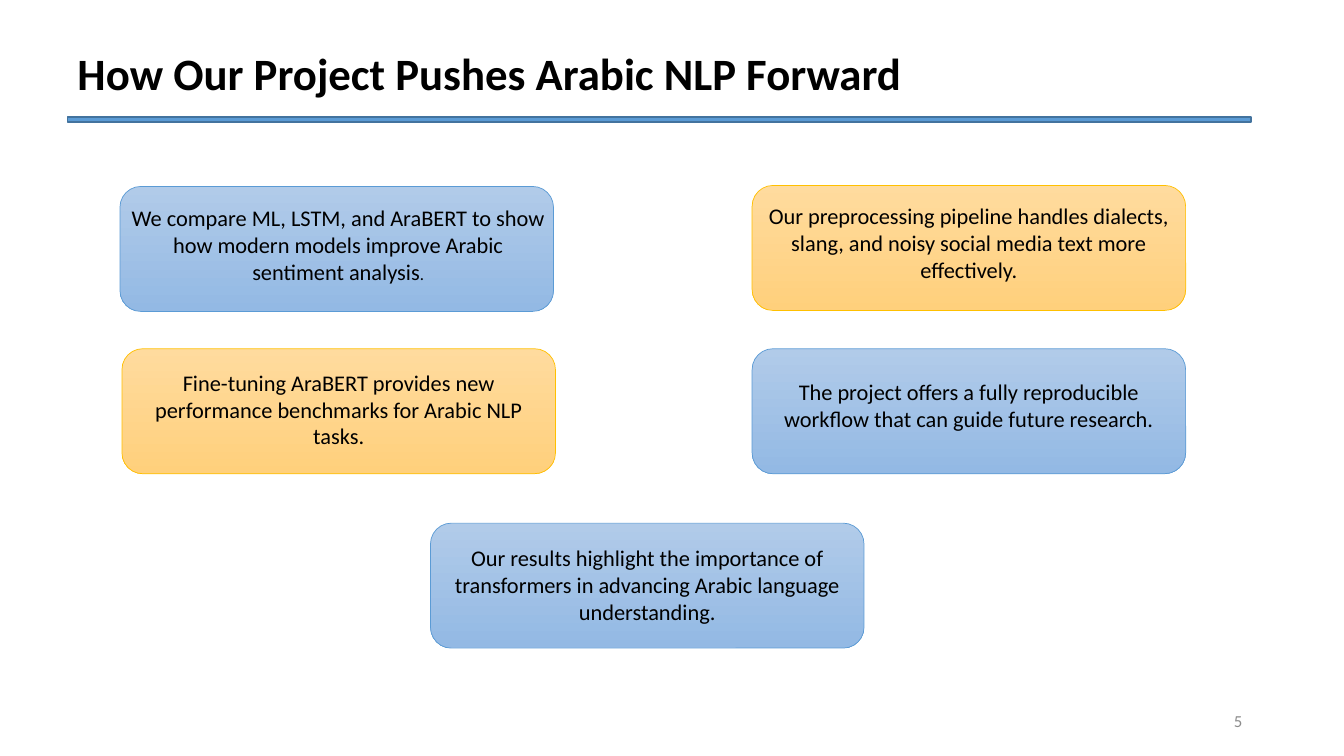
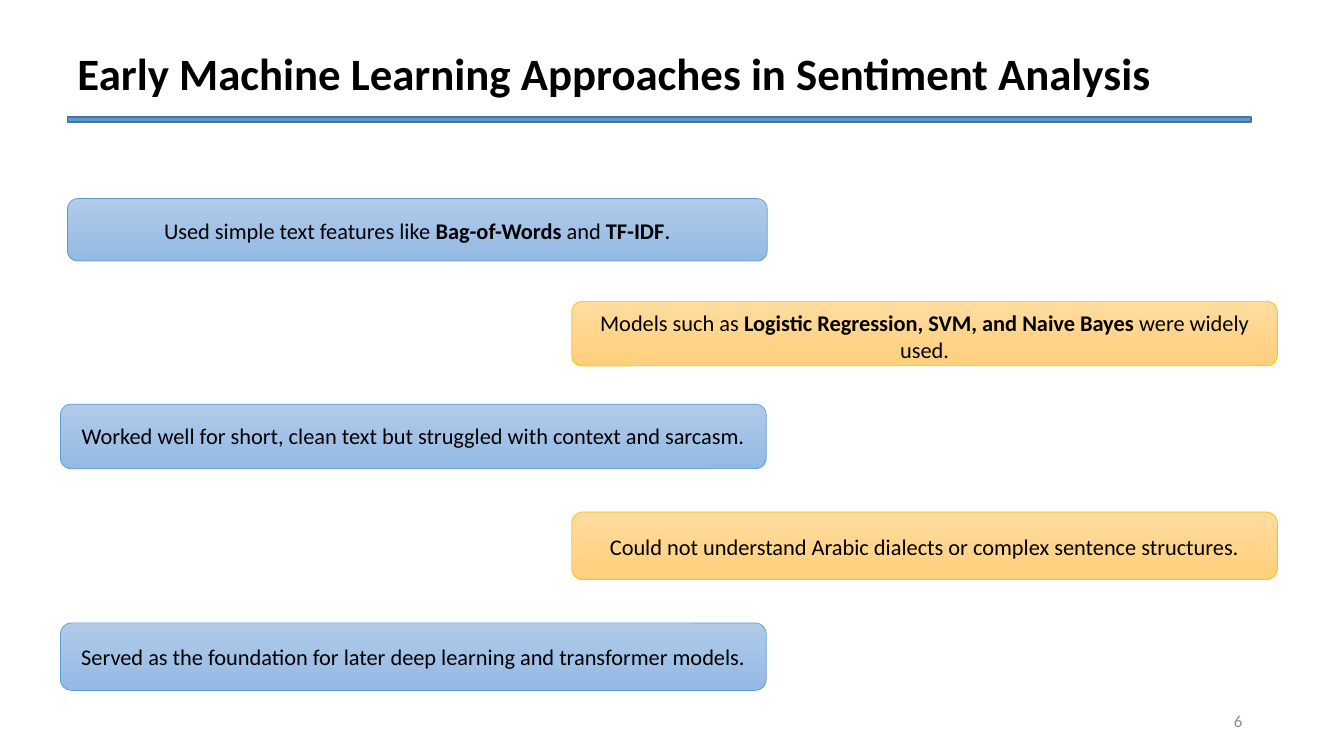
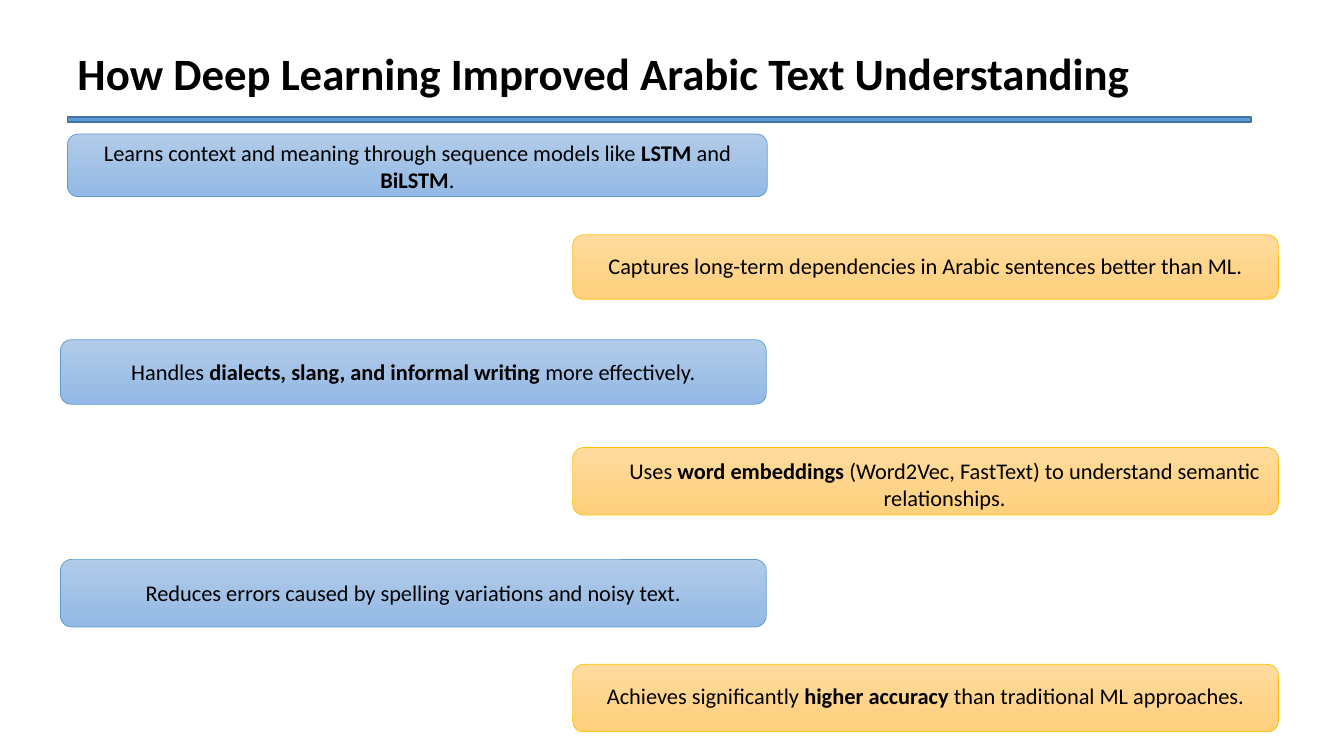
from pptx import Presentation
from pptx import util as u
from pptx.dml.color import RGBColor
from pptx.enum import shapes, text

SCALE = 9144
COLORS = {
    "ink": "000000", "page": "8C8C8C", "rule": "5B9BD5", "rule_edge": "43739E",
    "blue_top": "B1CBE9", "blue_bottom": "93B9E4", "blue_edge": "5B9BD5",
    "amber_top": "FFDB9E", "amber_bottom": "FFD07C", "amber_edge": "FFC000",
}
CORNER_INSET = 0.0488
ZIGZAG_HEIGHTS = (62, 64, 64, 67, 67, 67)


def px(n):
    return u.Emu(round(n * SCALE))


def rgb(name):
    return RGBColor.from_string(COLORS[name])


class Deck:
    """Holds the shared style and the current slide."""

    def __init__(self):
        self.prs = Presentation()
        self.prs.slide_width, self.prs.slide_height = px(1333), px(750)

    def slide(self, title, number=None):
        self.s = self.prs.slides.add_slide(self.prs.slide_layouts[6])
        self.label(67, 40, 1098, 64, title, 32, bold=True)
        self.rule()
        if number:
            self.label(942, 695, 300, 40, number, 12, color="page",
                       align=text.PP_ALIGN.RIGHT, anchor=text.MSO_ANCHOR.MIDDLE)

    def style(self, p, size, color="ink", align=text.PP_ALIGN.LEFT, bold=False):
        p.alignment = align
        p.font.name, p.font.size, p.font.bold = "Calibri", u.Pt(size), bold
        p.font.color.rgb = rgb(color)

    def label(self, x, y, w, h, words, size, color="ink", bold=False,
              align=text.PP_ALIGN.LEFT, anchor=text.MSO_ANCHOR.TOP):
        tf = self.s.shapes.add_textbox(px(x), px(y), px(w), px(h)).text_frame
        tf.word_wrap, tf.vertical_anchor = True, anchor
        p = tf.paragraphs[0]
        p.add_run().text = words
        self.style(p, size, color, align, bold)

    def shape(self, kind, x, y, w, h, edge, weight):
        sp = self.s.shapes.add_shape(kind, px(x), px(y), px(w), px(h))
        sp.shadow.inherit = False
        sp.line.color.rgb, sp.line.width = rgb(edge), u.Pt(weight)
        return sp

    def rule(self):
        sp = self.shape(shapes.MSO_SHAPE.RECTANGLE, 67, 116, 1174, 5, "rule_edge", 1)
        sp.fill.solid()
        sp.fill.fore_color.rgb = rgb("rule")

    def card(self, tone, x, y, w, h, text_top, words, sides=(10, 10), stop_size=None):
        sp = self.shape(shapes.MSO_SHAPE.ROUNDED_RECTANGLE, x, y, w, h, tone + "_edge", 0.5)
        sp.fill.gradient()
        sp.fill.gradient_angle = 270
        for stop, end in zip(sp.fill.gradient_stops, ("_top", "_bottom")):
            stop.color.rgb = rgb(tone + end)
        tf = sp.text_frame
        tf.word_wrap, tf.vertical_anchor = True, text.MSO_ANCHOR.TOP
        corner = h * CORNER_INSET
        tf.margin_left, tf.margin_right = (px(side - corner) for side in sides)
        tf.margin_top, tf.margin_bottom = px(text_top + 5 - corner), px(-corner)
        p = tf.paragraphs[0]
        self.style(p, 16, align=text.PP_ALIGN.CENTER)
        for i, part in enumerate(words.split("**")):
            r = p.add_run()
            r.text = part
            if i % 2:
                r.font.bold = True
        if stop_size:
            r = p.add_run()
            r.text, r.font.size = ".", u.Pt(stop_size)

    def zigzag(self, right, rows):
        for i, (h, (y, text_top, words, extra)) in enumerate(zip(ZIGZAG_HEIGHTS, rows)):
            tone, x = ("amber", right) if i % 2 else ("blue", 60 if i else 67)
            self.card(tone, x, y, 700 if i else 694, h, text_top, words, **extra)


def main():
    d = Deck()
    d.slide("How Our Project Pushes Arabic NLP Forward", "5")
    for tone, x, y, text_top, words, extra in (
        ("blue", 119, 185, 13, "We compare ML, LSTM, and AraBERT to show how modern models "
         "improve Arabic sentiment analysis", {"sides": (10, 7), "stop_size": 12}),
        ("amber", 746, 184, 12, "Our preprocessing pipeline handles dialects, slang, and noisy "
         "social media text more effectively.", {}),
        ("amber", 121, 346, 15, "Fine-tuning AraBERT provides new performance benchmarks for "
         "Arabic NLP tasks.", {}),
        ("blue", 746, 346, 24, "The project offers a fully reproducible workflow that can guide "
         "future research.", {}),
        ("blue", 427, 519, 16, "Our results highlight the importance of transformers in "
         "advancing Arabic language understanding.", {}),
    ):
        d.card(tone, x, y, 430, 124, text_top, words, **extra)

    d.slide("Early Machine Learning Approaches in Sentiment Analysis", "6")
    d.zigzag(567, (
        (197, 11, "Used simple text features like **Bag-of-Words** and **TF-IDF**",
         {"stop_size": 18}),
        (299, 3, "Models such as **Logistic Regression, SVM, and Naive Bayes** were widely used.", {}),
        (401, 13, "Worked well for short, clean text but struggled with context and sarcasm.", {}),
        (508, 16, "Could not understand Arabic dialects or complex sentence structures.", {}),
        (618, 15, "Served as the foundation for later deep learning and transformer models.", {}),
    ))

    d.slide("How Deep Learning Improved Arabic Text Understanding")
    d.zigzag(568, (
        (133, 0, "Learns context and meaning through sequence models like **LSTM** and **BiLSTM**.", {}),
        (233, 12, "Captures long-term dependencies in Arabic sentences better than ML.", {}),
        (337, 13, "Handles **dialects, slang, and informal writing** more effectively.", {}),
        (444, 5, "Uses **word embeddings** (Word2Vec, FastText) to understand semantic relationships.",
         {"sides": (48, 10)}),
        (555, 15, "Reduces errors caused by spelling variations and noisy text.", {}),
        (659, 13, "Achieves significantly **higher accuracy** than traditional ML approaches.", {}),
    ))
    d.prs.save("out.pptx")


if __name__ == "__main__":
    main()
